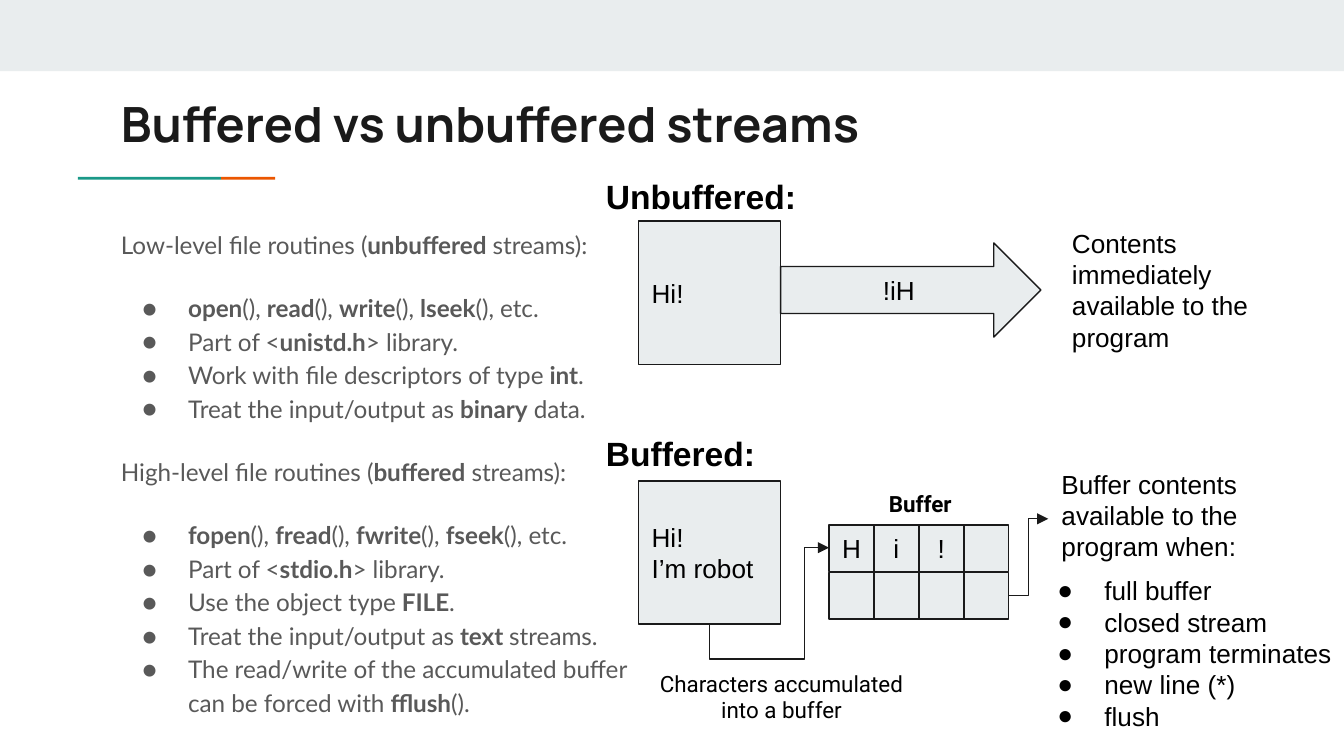
from dataclasses import dataclass
from itertools import product
from typing import NamedTuple

from lxml.etree import SubElement
from pptx import Presentation
from pptx.dml.color import RGBColor
from pptx.enum.shapes import MSO_CONNECTOR as Connector, MSO_SHAPE as Preset
from pptx.enum.text import MSO_ANCHOR as Anchor, MSO_AUTO_SIZE as AutoSize, PP_ALIGN as Align
from pptx.oxml.ns import qn
from pptx.util import Pt

INK, BLACK, GRAY = "1A1A1A", "000000", "595959"
PALE, GREEN, ORANGE, WHITE = "E9EDEE", "1A9988", "EB5600", "FFFFFF"


class Area(NamedTuple):
    left: float
    top: float
    width: float
    height: float


class Point(NamedTuple):
    x: float
    y: float


@dataclass
class Line:
    """One paragraph; parts between ** marks are bold."""
    text: str
    bullet: bool = False
    before: float = 0


@dataclass
class Label:
    area: Area
    lines: list[Line]
    size: float = 14
    font: str = "Arial"
    align: Align = Align.LEFT
    anchor: Anchor = Anchor.TOP


@dataclass
class Block:
    area: Area
    lines: list[Line]
    preset: Preset = Preset.RECTANGLE
    align: Align = Align.CENTER


def color(code: str) -> RGBColor:
    return RGBColor.from_string(code)


def place(shape, area: Area) -> None:
    shape.left, shape.top, shape.width, shape.height = map(Pt, area)


def set_bullet(para, shade: str, font: str, hanging: float) -> None:
    properties = para._p.get_or_add_pPr()
    properties.set("marL", str(Pt(36)))
    properties.set("indent", str(-Pt(hanging)))
    bullet_color = SubElement(properties, qn("a:buClr"))
    SubElement(bullet_color, qn("a:srgbClr"), val=shade)
    SubElement(properties, qn("a:buFont"), typeface=font)
    SubElement(properties, qn("a:buChar"), char="●")


def remove_bullet(para) -> None:
    properties = para._p.get_or_add_pPr()
    properties.set("marL", "0")
    properties.set("indent", "0")
    SubElement(properties, qn("a:buNone"))


def write(shape, lines: list[Line], *, size: float = 14, font: str = "Arial",
          shade: str = BLACK, align: Align = Align.LEFT, anchor: Anchor = Anchor.TOP,
          spacing: float = 1.0, hanging: float = 25.2) -> None:
    frame = shape.text_frame
    frame.word_wrap = True
    frame.auto_size = AutoSize.NONE
    frame.vertical_anchor = anchor
    frame.margin_left = frame.margin_right = Pt(7.2)
    frame.margin_top = frame.margin_bottom = Pt(7.2)
    for index, line in enumerate(lines):
        para = frame.add_paragraph() if index else frame.paragraphs[0]
        para.alignment = align
        para.line_spacing = spacing
        para.space_before, para.space_after = Pt(line.before), Pt(0)
        if line.bullet:
            set_bullet(para, shade, font, hanging)
        else:
            remove_bullet(para)
        for position, part in enumerate(line.text.split("**")):
            if part:
                span = para.add_run()
                span.text = part
                span.font.size, span.font.name = Pt(size), font
                span.font.bold = position % 2 == 1
                span.font.color.rgb = color(shade)


def add_label(page, label: Label) -> None:
    box = page.shapes.add_textbox(*map(Pt, label.area))
    write(box, label.lines, size=label.size, font=label.font,
          align=label.align, anchor=label.anchor)


def add_filled(page, area: Area, fill: str, preset: Preset = Preset.RECTANGLE):
    shape = page.shapes.add_shape(preset, *map(Pt, area))
    shape.shadow.inherit = False
    shape.fill.solid()
    shape.fill.fore_color.rgb = color(fill)
    shape.line.fill.background()
    return shape


def add_block(page, block: Block) -> None:
    shape = add_filled(page, block.area, PALE, block.preset)
    shape.line.fill.solid()
    shape.line.color.rgb = color(INK)
    shape.line.width = Pt(0.75)
    if block.lines:
        write(shape, block.lines, align=block.align, anchor=Anchor.MIDDLE)


def add_elbow(page, start: Point, end: Point):
    elbow = page.shapes.add_connector(Connector.ELBOW, *map(Pt, start + end))
    elbow.line.color.rgb = color(INK)
    elbow.line.width = Pt(0.75)
    SubElement(elbow.line._get_or_add_ln(), qn("a:tailEnd"), type="triangle")
    SubElement(elbow._element.spPr, qn("a:effectLst"))
    return elbow


def add_dipping_elbow(page, start: Point, end: Point, dip: float, turn: float) -> None:
    """Leave downwards by dip, go right to x = turn, rise, then enter from the left."""
    across, rise = end.x - start.x, start.y - end.y
    left = (start.x + end.x - rise) / 2
    top = (start.y + end.y - across) / 2
    elbow = add_elbow(page, Point(left, top), Point(left + rise, top + across))
    properties = elbow._element.spPr
    properties.find(qn("a:xfrm")).set("rot", str(270 * 60000))
    geometry = properties.find(qn("a:prstGeom"))
    geometry.set("prst", "bentConnector4")
    guides = geometry.find(qn("a:avLst"))
    if guides is None:
        guides = SubElement(geometry, qn("a:avLst"))
    for name, share in (("adj1", -dip / rise), ("adj2", (turn - start.x) / across)):
        SubElement(guides, qn("a:gd"), name=name, fmla=f"val {round(share * 100000)}")


def routine_group(heading: str, items: list[str], before: float = 0) -> list[Line]:
    first, *rest = items
    return [Line(heading, before=before), Line(first, True, 16),
            *(Line(item, True) for item in rest)]


def main() -> None:
    deck = Presentation()
    deck.slide_width, deck.slide_height = Pt(720), Pt(405)
    page = deck.slides.add_slide(deck.slide_layouts[1])
    page.background.fill.solid()
    page.background.fill.fore_color.rgb = color(WHITE)

    add_filled(page, Area(0, 0, 720, 38.2), PALE)
    add_filled(page, Area(41.8, 94.7, 76.6, 1.5), GREEN)
    add_filled(page, Area(118.4, 94.7, 29, 1.5), ORANGE)

    title, body = page.placeholders[0], page.placeholders[1]
    place(title, Area(57.6, 43.2, 605.5, 42.5))
    write(title, [Line("**Buffered vs unbuffered streams**")], size=26, font="Manrope", shade=INK)
    place(body, Area(57.6, 113.8, 297.4, 279.4))
    low_level = routine_group("Low-level file routines (**unbuffered** streams):", [
        "**open**(), **read**(), **write**(), **lseek**(), etc.",
        "Part of <**unistd.h**> library.",
        "Work with file descriptors of type **int**.",
        "Treat the input/output as **binary** data."])
    high_level = routine_group("High-level file routines (**buffered** streams):", [
        "**fopen**(), **fread**(), **fwrite**(), **fseek**(), etc.",
        "Part of <**stdio.h**> library.",
        "Use the object type **FILE**.",
        "Treat the input/output as **text **streams.",
        "The read/write of the accumulated buffer can be forced with **fflush**()."], before=16)
    write(body, low_level + high_level, size=13, font="Lato", shade=GRAY,
          spacing=1.15, hanging=24.5)

    add_block(page, Block(Area(342, 118.4, 76.2, 76.8), [Line("Hi!")], align=Align.LEFT))
    add_block(page, Block(Area(418.2, 130.2, 139.4, 50.4), [Line("!iH")], Preset.RIGHT_ARROW))
    add_block(page, Block(Area(342, 257.6, 76.2, 76.8),
                          [Line("Hi!"), Line("I’m robot")], align=Align.LEFT))

    stored = "Hi!"
    for row, column in product(range(2), range(4)):
        cell = Area(444.1 + 24.1 * column, 281.2 + 25.4 * row, 24.1, 25)
        filled = row == 0 and column < len(stored)
        add_block(page, Block(cell, [Line(stored[column])] if filled else []))

    add_dipping_elbow(page, Point(380.1, 334.4), Point(444.1, 293.4), dip=18.7, turn=431.2)
    add_elbow(page, Point(540.5, 319), Point(561.6, 278))

    events = ["full buffer", "closed stream", "program terminates", "new line (*)", "flush"]
    for label in (
        Label(Area(317.5, 87.1, 390.2, 25.2), [Line("**Unbuffered:**")], size=18),
        Label(Area(317.5, 224.6, 390.2, 25.2), [Line("**Buffered:**")], size=18),
        Label(Area(567.2, 114.5, 134.6, 69.1),
              [Line("Contents immediately available to the program")]),
        Label(Area(561.6, 243.6, 146.2, 69.1),
              [Line("Buffer contents available to the program when:")]),
        Label(Area(548.6, 281.8, 175.7, 136.1), [Line(event, True) for event in events],
              anchor=Anchor.MIDDLE),
        Label(Area(445.5, 255.6, 95, 19.4), [Line("**Buffer**")], 12, "Roboto", Align.CENTER),
        Label(Area(345.6, 351.6, 146.2, 19.4), [Line("Characters accumulated into a buffer")],
              12, "Roboto", Align.CENTER),
    ):
        add_label(page, label)

    deck.save("out.pptx")


if __name__ == "__main__":
    main()
